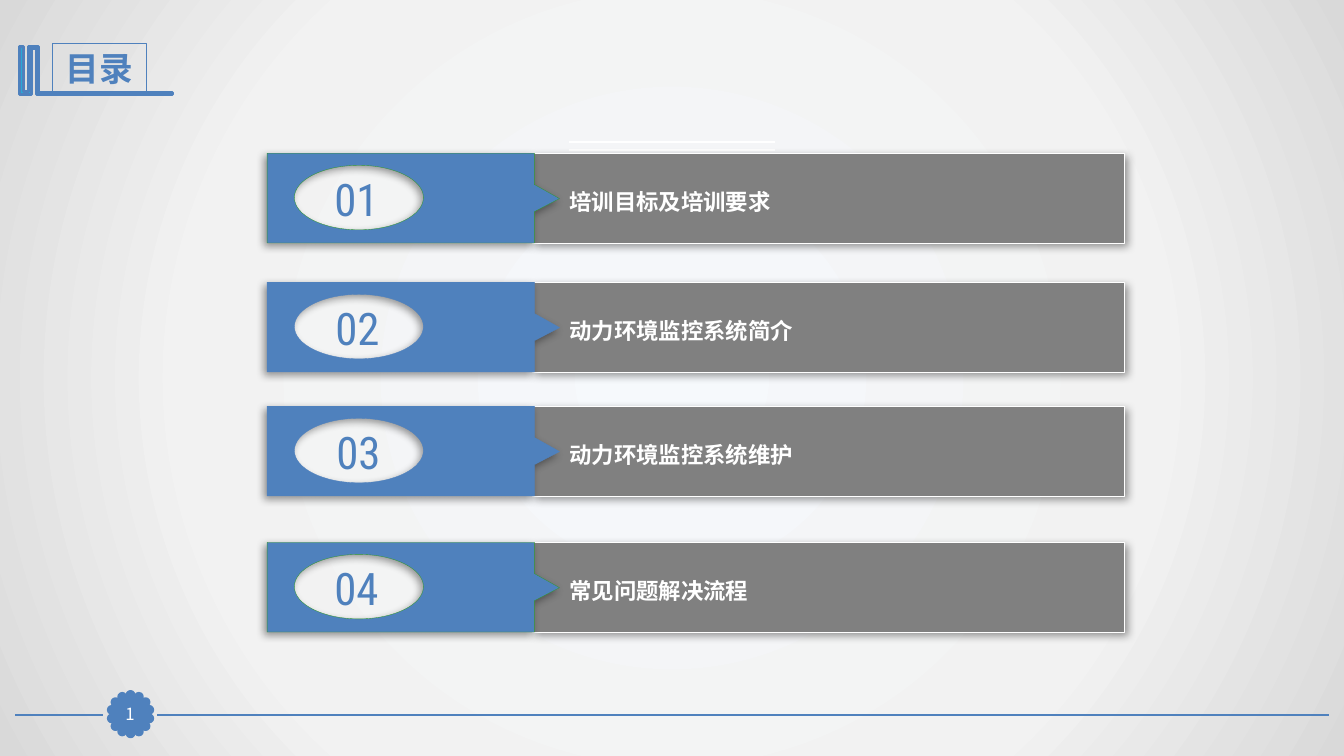
"""Build the contents slide with four numbered bars."""
import dataclasses
import math
import typing

import pptx
import pptx.dml.color
import pptx.enum.shapes
import pptx.enum.text
import pptx.oxml
import pptx.oxml.ns
import pptx.util

BLUE, GREEN, GRAY, WHITE = "4F81BD", "339933", "808080", "FFFFFF"
NS = pptx.oxml.ns.nsdecls("a", "p")
Inches = pptx.util.Inches
Kind = pptx.enum.shapes.MSO_SHAPE
Point = typing.Tuple[float, float]
Box = typing.Tuple[float, float, float, float]


@dataclasses.dataclass
class Row:
    num: str
    label: str
    top: float
    left: float
    edge: str


@dataclasses.dataclass
class Style:
    size: float
    face: str
    color: str
    bold: bool = False


ROWS = [
    Row("01", "培训目标及培训要求", 1.52, 3.03, GREEN),
    Row("02", "动力环境监控系统简介", 2.8, 3.04, BLUE),
    Row("03", "动力环境监控系统维护", 4.03, 3.05, BLUE),
    Row("04", "常见问题解决流程", 5.38, 3.03, GREEN),
]
BOOK = [(0.37, 0.46), (0.38, 0.46), (0.38, 0.92), (1.71, 0.92), (1.71, 0.94),
        (0.37, 0.94), (0.36, 0.94), (0.36, 0.48), (0.31, 0.48), (0.31, 0.94),
        (0.19, 0.94), (0.19, 0.46), (0.23, 0.46), (0.23, 0.91), (0.28, 0.91),
        (0.28, 0.46)]
RULES = [((13.18, 7.09), (1.56, 7.09), BLUE, 1.25),
         ((1.02, 7.09), (0.15, 7.09), BLUE, 1.25),
         ((5.64, 1.41), (7.69, 1.41), WHITE, 1.5),
         ((5.64, 1.49), (7.69, 1.49), WHITE, 1.5)]


def rgb(code: str) -> pptx.dml.color.RGBColor:
    return pptx.dml.color.RGBColor.from_string(code)


def paint(shape, fill: str, edge: str, width: float) -> None:
    shape.shadow.inherit = False
    shape.fill.solid()
    shape.fill.fore_color.rgb = rgb(fill)
    shape.line.color.rgb = rgb(edge)
    shape.line.width = pptx.util.Pt(width)


def shade(shape, angle: int) -> None:
    shape._element.spPr.find(pptx.oxml.ns.qn("a:effectLst")).append(
        pptx.oxml.parse_xml(
            f'<a:outerShdw {NS} blurRad="76200" dist="38100" '
            f'dir="{angle * 60000}" algn="tl" rotWithShape="0">'
            '<a:srgbClr val="000000"><a:alpha val="40000"/></a:srgbClr>'
            '</a:outerShdw>'))


def place(shape, box: Box) -> None:
    shape.left, shape.top, shape.width, shape.height = map(Inches, box)


def write(shape, text: str, style: Style, mid: bool = True) -> None:
    frame = shape.text_frame
    frame.word_wrap = True
    frame.auto_size = pptx.enum.text.MSO_AUTO_SIZE.NONE
    anchor, align = pptx.enum.text.MSO_ANCHOR, pptx.enum.text.PP_ALIGN
    frame.vertical_anchor = anchor.MIDDLE if mid else anchor.TOP
    para = frame.paragraphs[0]
    para.alignment = align.CENTER if mid else align.LEFT
    para.space_before = pptx.util.Pt(0)
    run = para.add_run()
    run.text = text
    font = run.font
    font.size, font.bold = pptx.util.Pt(style.size), style.bold
    font.color.rgb = rgb(style.color)
    font.name = style.face
    run._r.get_or_add_rPr().append(pptx.oxml.parse_xml(
        f'<a:ea {NS} typeface="Noto Sans CJK SC"/>'))


def trace(shapes, points: typing.List[Point]):
    spots = [(Inches(left), Inches(top)) for left, top in points]
    pen = shapes.build_freeform(*spots[0], scale=1.0)
    pen.add_line_segments(spots[1:], close=True)
    return pen.convert_to_shape()


def pierce(shape, mid: Point, wide: float, high: float) -> None:
    def spot(across: float, down: float) -> str:
        return (f'<a:pt x="{Inches(mid[0] + wide * across)}" '
                f'y="{Inches(mid[1] + high * down)}"/>')

    bend = 0.5523
    turns = [(0, -1), (-1, 0), (0, 1), (1, 0), (0, -1)]
    curves = "".join(
        "<a:cubicBezTo>"
        + spot(ax + bend * bx, ay + bend * by)
        + spot(bx + bend * ax, by + bend * ay)
        + spot(bx, by) + "</a:cubicBezTo>"
        for (ax, ay), (bx, by) in zip(turns, turns[1:]))
    oval = pptx.oxml.parse_xml(
        f"<a:path {NS}><a:moveTo>{spot(0, -1)}</a:moveTo>"
        f"{curves}<a:close/></a:path>")
    outline = next(shape._element.iter(pptx.oxml.ns.qn("a:path")))
    for place_at, part in enumerate(list(oval)):
        outline.insert(place_at, part)


def rule(shapes, start: Point, end: Point, color: str, width: float) -> None:
    line = shapes.add_connector(pptx.enum.shapes.MSO_CONNECTOR.STRAIGHT,
                                *map(Inches, start + end))
    line.line.color.rgb = rgb(color)
    line.line.width = pptx.util.Pt(width)
    line._element.spPr.append(pptx.oxml.parse_xml(f"<a:effectLst {NS}/>"))


def block(shapes, kind, box: Box, fill: str, edge: str, width: float):
    shape = shapes.add_shape(kind, *map(Inches, box))
    paint(shape, fill, edge, width)
    return shape


def badge(shapes) -> None:
    for step in range(14):
        turn = 2 * math.pi * step / 14
        left = 1.26 + 0.19 * math.sin(turn)
        top = 7.05 - 0.19 * math.cos(turn)
        block(shapes, Kind.OVAL, (left, top, 0.07, 0.07), BLUE, BLUE, 2)
    core = block(shapes, Kind.RECTANGLE, (1.13, 6.93, 0.32, 0.31),
                 BLUE, BLUE, 0.75)
    frame = core.text_frame
    frame.margin_left = frame.margin_right = 0
    frame.margin_top = frame.margin_bottom = 0
    write(core, "1", Style(12, "Noto Sans CJK SC", WHITE))


def draw(shapes, row: Row, label) -> None:
    top = row.top
    bar = block(shapes, Kind.RECTANGLE, (5.28, top, 5.87, 0.89),
                GRAY, WHITE, 0.25)
    shade(bar, 45)
    tab = trace(shapes, [
        (2.65, top), (5.3, top), (5.3, top + 0.31), (5.55, top + 0.45),
        (5.3, top + 0.58), (5.3, top + 0.89), (2.65, top + 0.89)])
    pierce(tab, (0.91, 0.44), 0.64, 0.32)
    paint(tab, BLUE, row.edge, 0.25)
    shade(tab, 135)
    num = shapes.add_textbox(
        *map(Inches, (row.left, top + 0.13, 1.01, 0.64)))
    write(num, row.num, Style(32, "Roboto Condensed", BLUE))
    place(label, (5.55, top + 0.3, 5.61, 0.37))
    write(label, row.label, Style(16, "Roboto", WHITE, True), mid=False)
    props = label.text_frame.paragraphs[0]._p.get_or_add_pPr()
    props.set("marL", "0")
    props.set("indent", "0")
    props.append(pptx.oxml.parse_xml(f"<a:buNone {NS}/>"))
    shapes._spTree.append(label._element)


def shine(slide) -> None:
    stops = "".join(
        f'<a:gs pos="{pos * 1000}"><a:srgbClr val="{code}"/></a:gs>'
        for pos, code in ((0, "F6F9FC"), (63, "F2F2F2"), (100, "D9D9D9")))
    slide._element.cSld.insert(0, pptx.oxml.parse_xml(
        f'<p:bg {NS}><p:bgPr><a:gradFill rotWithShape="1">'
        f'<a:gsLst>{stops}</a:gsLst><a:path path="circle">'
        '<a:fillToRect l="50000" t="50000" r="50000" b="50000"/></a:path>'
        '</a:gradFill><a:effectLst/></p:bgPr></p:bg>'))


def main() -> None:
    deck = pptx.Presentation()
    deck.slide_width, deck.slide_height = Inches(13.33), Inches(7.5)
    slide = deck.slides.add_slide(deck.slide_layouts[4])
    shapes = slide.shapes
    shine(slide)
    title, *labels = list(slide.placeholders)
    for item in RULES:
        rule(shapes, *item)
    badge(shapes)
    paint(trace(shapes, BOOK), "28A9D6", BLUE, 2)
    place(title, (0.52, 0.43, 0.93, 0.5))
    title.line.color.rgb = rgb(BLUE)
    title.line.width = pptx.util.Pt(0.75)
    write(title, "目录", Style(24, "Roboto Condensed", BLUE, True))
    for row, label in zip(ROWS, labels):
        draw(shapes, row, label)
    deck.save("out.pptx")


if __name__ == "__main__":
    main()
